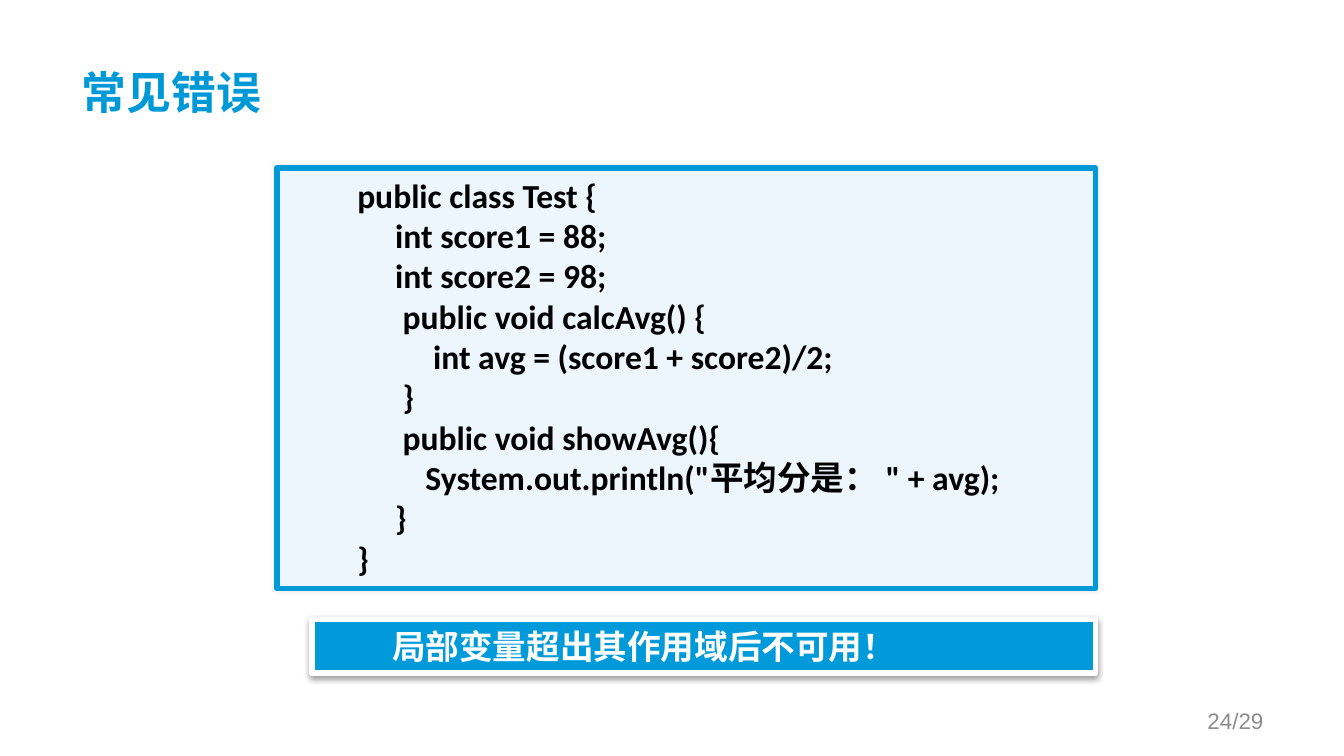
from dataclasses import dataclass

from lxml import etree
from pptx import Presentation
from pptx import util as u
from pptx.dml.color import RGBColor
from pptx.enum import shapes, text
from pptx.oxml.ns import qn

SLIDE_WIDTH = 10
SLIDE_HEIGHT = SLIDE_WIDTH * 9 / 16
BLUE = "0099D8"
CJK_FONT = "Noto Sans CJK SC"
CODE = """\
public class Test {
     int score1 = 88;
     int score2 = 98;
      public void calcAvg() {
          int avg = (score1 + score2)/2;
      }
      public void showAvg(){
         System.out.println("平均分是： " + avg);
     }
}"""


@dataclass
class Shadow:
    opacity: int  # percent
    blur: float  # points
    distance: float = 0  # points
    angle: int = 0  # degrees


@dataclass
class Panel:
    content: str
    box: tuple[float, float, float, float]
    fill: str
    border: str
    ink: str
    font: str
    shadow: Shadow


PANELS = [
    Panel(CODE, (2.06, 1.25, 6.09, 3.13), "EDF5FD", BLUE, "000000",
          "Calibri", Shadow(10, 3)),
    Panel("局部变量超出其作用域后不可用！", (2.32, 4.61, 5.83, 0.4), "009ADA",
          "FFFFFF", "FFFFFF", CJK_FONT, Shadow(38, 3.1, 1.6, 90)),
]


def color(value: str) -> RGBColor:
    return RGBColor.from_string(value)


def place(shape, box: tuple[float, float, float, float]) -> None:
    shape.left, shape.top, shape.width, shape.height = map(u.Inches, box)


def write(shape, content: str, *, size: float, font: str, ink: str,
          bold: bool = False, indent: float = 0,
          align=text.PP_ALIGN.LEFT, anchor=text.MSO_ANCHOR.MIDDLE) -> None:
    frame = shape.text_frame
    frame.word_wrap = True
    frame.auto_size = text.MSO_AUTO_SIZE.NONE
    frame.vertical_anchor = anchor
    frame.text = content
    for paragraph in frame.paragraphs:
        paragraph.alignment = align
        properties = paragraph._p.get_or_add_pPr()
        properties.set("marL", str(u.Inches(indent)))
        properties.set("indent", "0")
        for run in paragraph.runs:
            run.font.size = u.Pt(size)
            run.font.name = font
            run.font.bold = bold
            run.font.color.rgb = color(ink)
            east_asian = etree.SubElement(run.font._element, qn("a:ea"))
            east_asian.set("typeface", CJK_FONT)


def add_shadow(shape, shadow: Shadow) -> None:
    shape.shadow.inherit = False
    effects = shape._element.spPr.find(qn("a:effectLst"))
    outer = etree.SubElement(
        effects, qn("a:outerShdw"), blurRad=str(u.Pt(shadow.blur)),
        dist=str(u.Pt(shadow.distance)), dir=str(shadow.angle * 60000),
        algn="ctr", rotWithShape="0")
    tint = etree.SubElement(outer, qn("a:srgbClr"), val="000000")
    etree.SubElement(tint, qn("a:alpha"), val=str(shadow.opacity * 1000))


def add_panel(slide, panel: Panel) -> None:
    shape = slide.shapes.add_shape(
        shapes.MSO_SHAPE.ROUNDED_RECTANGLE, *map(u.Inches, panel.box))
    shape.adjustments[0] = 0
    shape.fill.solid()
    shape.fill.fore_color.rgb = color(panel.fill)
    shape.line.color.rgb = color(panel.border)
    shape.line.width = u.Pt(3)
    add_shadow(shape, panel.shadow)
    write(shape, panel.content, size=18, font=panel.font, ink=panel.ink,
          bold=True, indent=0.5, anchor=text.MSO_ANCHOR.TOP)


def main() -> None:
    deck = Presentation()
    deck.slide_width = u.Inches(SLIDE_WIDTH)
    deck.slide_height = u.Inches(SLIDE_HEIGHT)
    slide = deck.slides.add_slide(deck.slide_layouts[5])

    # Heading
    heading = slide.shapes.title
    place(heading, (0.51, 0.21, 9, 0.94))
    write(heading, "常见错误", size=24, font="Calibri", ink=BLUE, bold=True)

    # Code listing and the lesson below it
    for panel in PANELS:
        add_panel(slide, panel)

    # Page number
    page = slide.shapes.add_textbox(*map(u.Inches, (7.17, 5.21, 2.33, 0.3)))
    write(page, "24/29", size=12, font="Arial", ink="8C8C8C",
          align=text.PP_ALIGN.RIGHT)

    deck.save("out.pptx")


if __name__ == "__main__":
    main()
